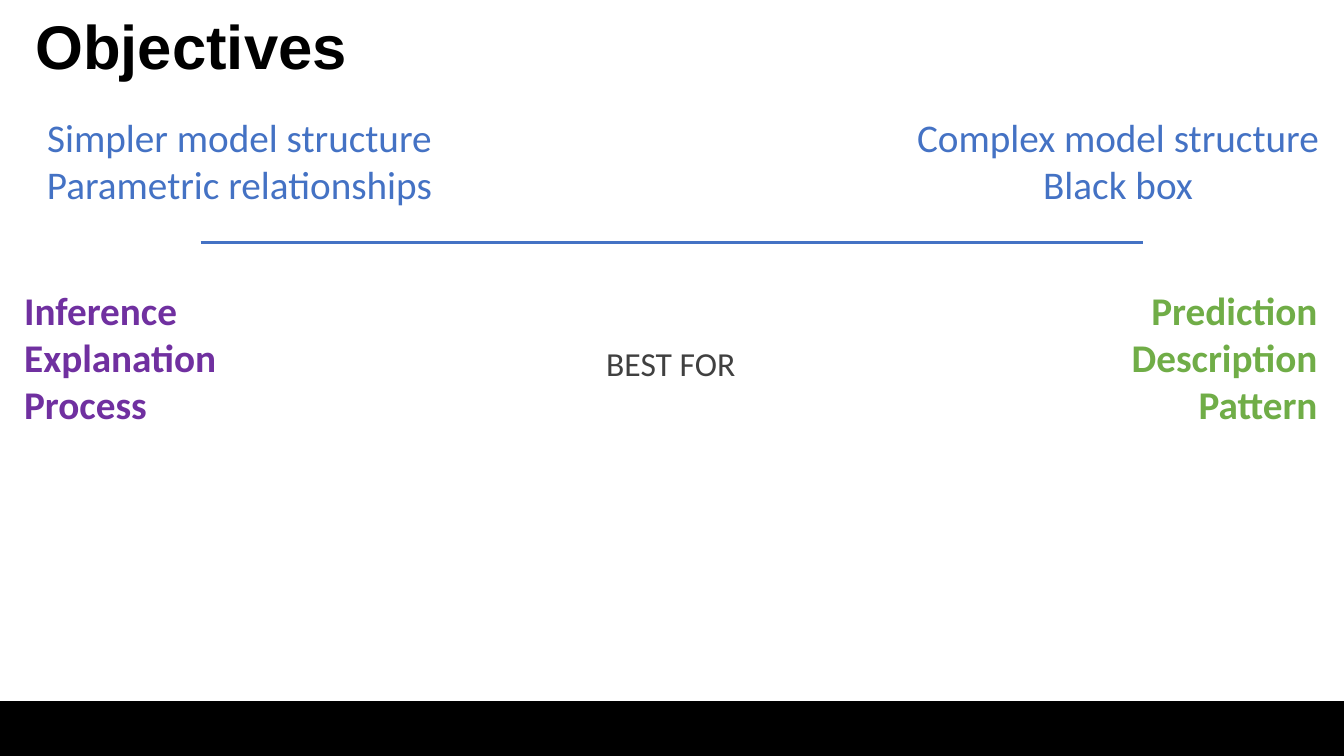
from pptx import Presentation
from pptx.dml.color import RGBColor
from pptx.enum.shapes import MSO_CONNECTOR, MSO_SHAPE
from pptx.enum.text import MSO_ANCHOR, MSO_AUTO_SIZE, PP_ALIGN
from pptx.oxml.ns import qn
from pptx.util import Cm, Pt
from lxml.etree import SubElement

BLACK = RGBColor(0x00, 0x00, 0x00)
BLUE = RGBColor(0x44, 0x72, 0xC4)
PURPLE = RGBColor(0x70, 0x30, 0xA0)
GREEN = RGBColor(0x70, 0xAD, 0x47)
GREY = RGBColor(0x40, 0x40, 0x40)

SLIDE_W, SLIDE_H = 33.87, 19.05
BOX_W = 11.35
STRUCTURE_TOP, PURPOSE_TOP = 2.74, 7.09


def format_text(tf, size, color, align, bold=False, font="Calibri"):
    for p in tf.paragraphs:
        p.alignment = align
        for r in p.runs:
            r.font.name = font
            r.font.size = Pt(size)
            r.font.bold = bold
            r.font.color.rgb = color


def add_title(slide, text):
    sp = slide.shapes.title
    sp.left, sp.top, sp.width, sp.height = Cm(0.64), Cm(0.64), Cm(32.54), Cm(1.24)
    tf = sp.text_frame
    tf.text = text
    tf.auto_size = MSO_AUTO_SIZE.NONE
    tf.vertical_anchor = MSO_ANCHOR.MIDDLE
    tf.paragraphs[0].line_spacing = 0.9
    format_text(tf, 44, BLACK, PP_ALIGN.LEFT, bold=True, font="Arial")


def add_label(slide, left, top, height, lines, color, align, size=28, bold=False):
    sp = slide.shapes.add_textbox(Cm(left), Cm(top), Cm(BOX_W), Cm(height))
    tf = sp.text_frame
    tf.word_wrap = True
    tf.auto_size = MSO_AUTO_SIZE.SHAPE_TO_FIT_TEXT
    tf.text = "\n".join(lines)
    format_text(tf, size, color, align, bold)


def add_scale_line(slide):
    y = Cm(6.12)
    line = slide.shapes.add_connector(MSO_CONNECTOR.STRAIGHT, Cm(5.06), y, Cm(28.8), y)
    line.line.color.rgb = BLUE
    line.line.width = Pt(2.25)
    SubElement(line._element.spPr, qn("a:effectLst"))


def add_footer_bar(slide):
    height = 1.38
    sp = slide.shapes.add_shape(
        MSO_SHAPE.RECTANGLE, 0, Cm(SLIDE_H - height), Cm(SLIDE_W), Cm(height))
    sp.shadow.inherit = False
    sp.fill.solid()
    sp.fill.fore_color.rgb = BLACK
    sp.line.fill.background()


def main():
    prs = Presentation()
    prs.slide_width, prs.slide_height = Cm(SLIDE_W), Cm(SLIDE_H)
    slide = prs.slides.add_slide(prs.slide_layouts[5])

    add_footer_bar(slide)
    add_title(slide, "Objectives")
    add_scale_line(slide)
    add_label(slide, 0.36, STRUCTURE_TOP, 4.62,
              ["Simpler model structure", "Parametric relationships"],
              BLUE, PP_ALIGN.CENTER)
    add_label(slide, 22.5, STRUCTURE_TOP, 4.62,
              ["Complex model structure", "Black box"],
              BLUE, PP_ALIGN.CENTER)
    add_label(slide, 0.36, PURPOSE_TOP, 4.62,
              ["Inference", "Explanation", "Process"],
              PURPLE, PP_ALIGN.LEFT, bold=True)
    add_label(slide, 22.1, PURPOSE_TOP, 4.62,
              ["Prediction", "Description", "Pattern"],
              GREEN, PP_ALIGN.RIGHT, bold=True)
    add_label(slide, 11.23, 8.51, 1.27, ["BEST FOR"], GREY, PP_ALIGN.CENTER, size=24)

    prs.save("out.pptx")


if __name__ == "__main__":
    main()
